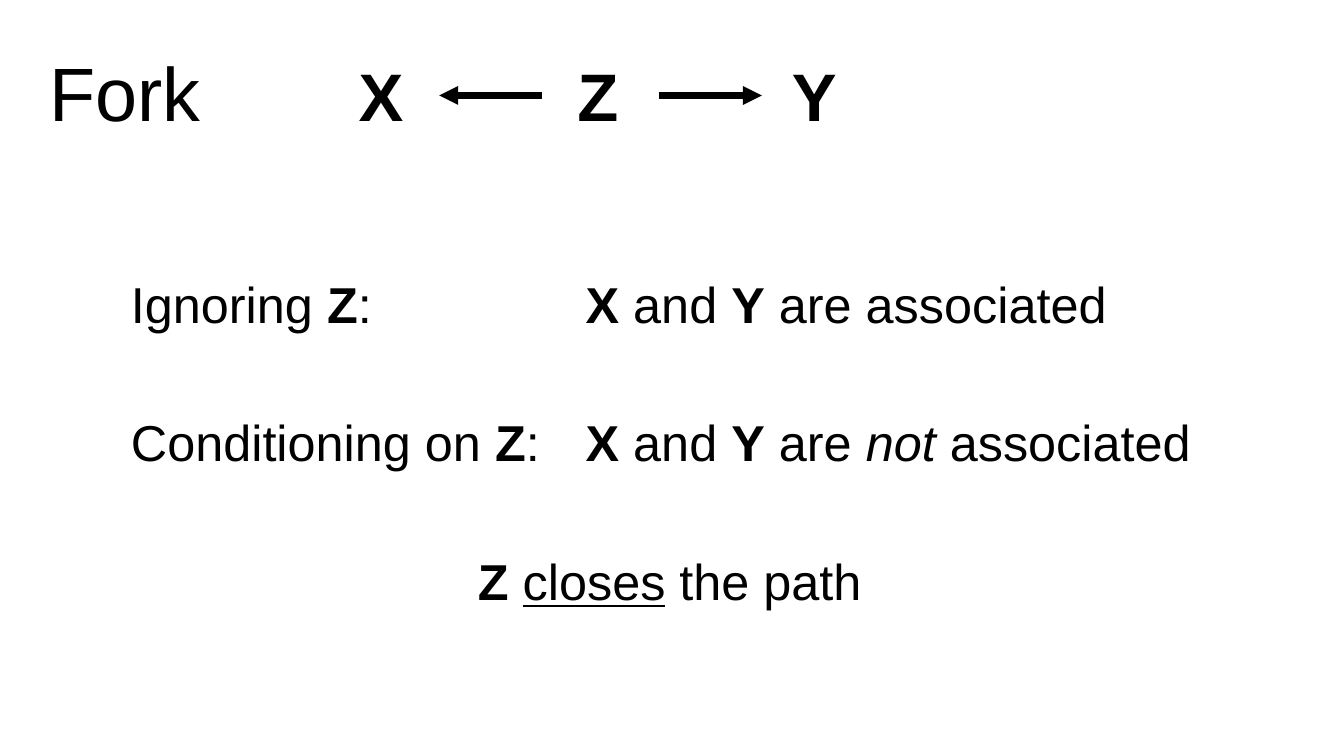
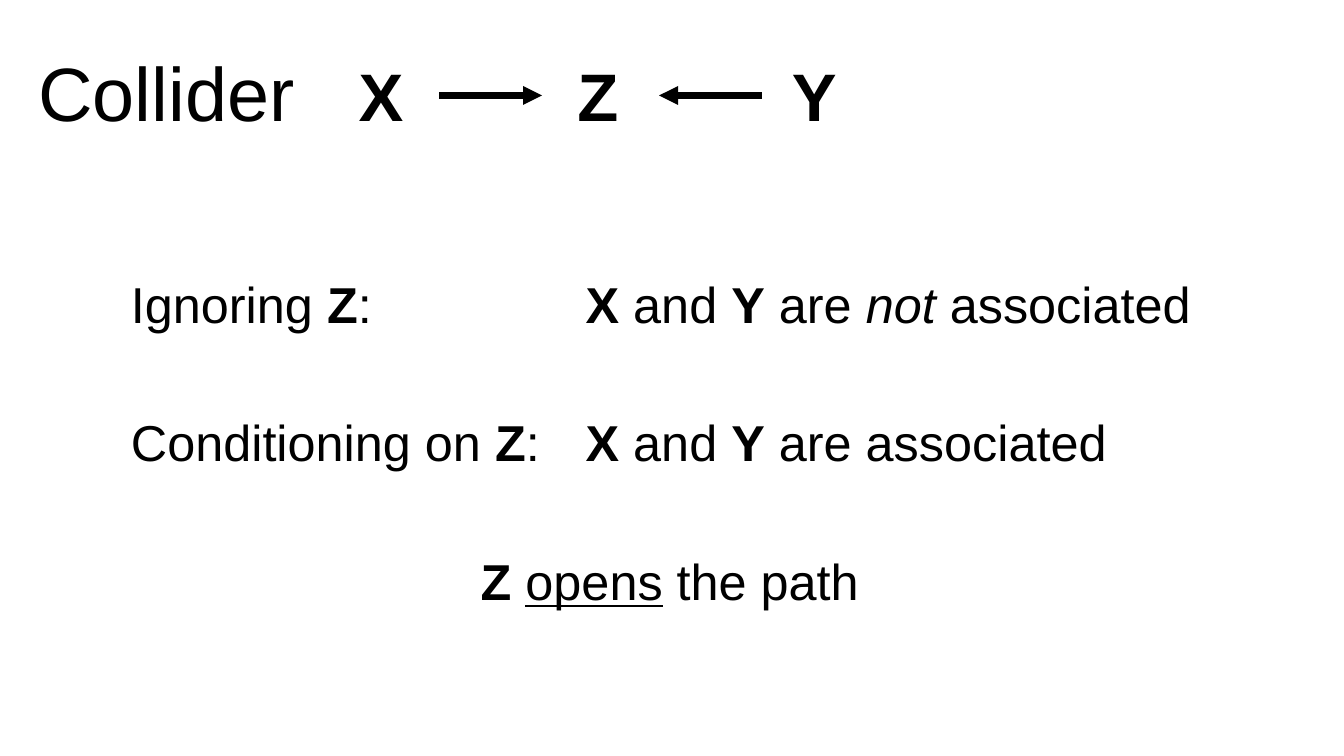
from lxml.etree import SubElement
from pptx import Presentation
from pptx.dml.color import RGBColor
from pptx.enum.shapes import MSO_CONNECTOR
from pptx.enum.text import MSO_ANCHOR, MSO_AUTO_SIZE, PP_ALIGN
from pptx.oxml.ns import qn
from pptx.util import Cm, Pt

COLORS = {"text": "000000", "background": "FFFFFF"}
FONT = "Arial"
TITLE_ONLY = 5
ASSOCIATED = [("X", "bold"), (" and ", None), ("Y", "bold"), (" are associated", None)]
NOT_ASSOCIATED = ASSOCIATED[:3] + [(" are ", None), ("not", "italic"), (" associated", None)]


def color(name):
    return RGBColor.from_string(COLORS[name])


def style_font(paragraph, size, bold=False):
    font = paragraph.font
    font.name = FONT
    font.size = Pt(size)
    font.bold = bold
    font.color.rgb = color("text")


def add_runs(paragraph, pieces):
    for text, emphasis in pieces:
        run = paragraph.add_run()
        run.text = text
        if emphasis:
            setattr(run.font, emphasis, True)


def add_title(slide, text, left, top, width, height):
    title = slide.shapes.title
    title.left, title.top, title.width, title.height = Cm(left), Cm(top), Cm(width), Cm(height)
    frame = title.text_frame
    frame.text = text
    frame.word_wrap = False
    frame.auto_size = MSO_AUTO_SIZE.NONE
    frame.vertical_anchor = MSO_ANCHOR.MIDDLE
    paragraph = frame.paragraphs[0]
    paragraph.alignment = PP_ALIGN.LEFT
    style_font(paragraph, 54)


def add_node(slide, letter, left, top, width, height):
    box = slide.shapes.add_textbox(Cm(left), Cm(top), Cm(width), Cm(height))
    frame = box.text_frame
    frame.word_wrap = False
    frame.auto_size = MSO_AUTO_SIZE.SHAPE_TO_FIT_TEXT
    paragraph = frame.paragraphs[0]
    paragraph.text = letter
    style_font(paragraph, 48, bold=True)


def add_arrow(slide, start, end, y):
    arrow = slide.shapes.add_connector(
        MSO_CONNECTOR.STRAIGHT, Cm(start), Cm(y), Cm(end), Cm(y))
    arrow.line.color.rgb = color("text")
    arrow.line.width = Pt(4.5)
    SubElement(arrow.line._get_or_add_ln(), qn("a:tailEnd"), type="triangle")
    SubElement(arrow._element.spPr, qn("a:effectLst"))


def add_path_diagram(slide, left, top, height, outward):
    for letter, offset, width in (("X", 0, 1.65), ("Z", 5.51, 1.55), ("Y", 10.92, 1.65)):
        add_node(slide, letter, left + offset, top, width, height)
    length = 2.59
    outer_left, outer_right = left + 2.28, left + 10.41
    inner_left, inner_right = outer_left + length, outer_right - length
    for inner, outer in ((inner_left, outer_left), (inner_right, outer_right)):
        start, end = (inner, outer) if outward else (outer, inner)
        add_arrow(slide, start, end, top + height / 2)


def add_statements(slide, ignoring, conditioning, effect, left, top, width, height):
    box = slide.shapes.add_textbox(Cm(left), Cm(top), Cm(width), Cm(height))
    frame = box.text_frame
    frame.word_wrap = True
    lines = (
        [("Ignoring ", None), ("Z", "bold"), (":\t", None)] + ignoring,
        [("Conditioning on ", None), ("Z", "bold"), (":\t", None)] + conditioning,
        [("Z ", "bold"), (effect, "underline"), (" the path", None)],
    )
    hanging = Cm(11.46)
    for index, pieces in enumerate(lines):
        paragraph = frame.add_paragraph() if index else frame.paragraphs[0]
        paragraph.line_spacing = 0.9
        paragraph.space_before = Pt(60 if index else 0)
        if index < 2:
            properties = paragraph._p.get_or_add_pPr()
            properties.set("marL", str(hanging))
            properties.set("indent", str(-hanging))
        else:
            paragraph.alignment = PP_ALIGN.CENTER
        style_font(paragraph, 36)
        add_runs(paragraph, pieces)


def add_path_slide(presentation, name, title_left, title_width, outward,
                   ignoring, conditioning, effect):
    slide = presentation.slides.add_slide(presentation.slide_layouts[TITLE_ONLY])
    add_title(slide, name, title_left, 1.02, title_width, 2.57)
    add_path_diagram(slide, 8.79, 1.25, 2.31, outward)
    add_statements(slide, ignoring, conditioning, effect, 3.05, 6.93, 27.66, 10.59)


def main():
    presentation = Presentation()
    presentation.slide_width = Cm(33.87)
    presentation.slide_height = Cm(19.05)
    background = presentation.slide_master.background.fill
    background.solid()
    background.fore_color.rgb = color("background")
    add_path_slide(presentation, "Fork", 0.99, 4.37, True,
                   ASSOCIATED, NOT_ASSOCIATED, "closes")
    add_path_slide(presentation, "Collider", 0.71, 7.04, False,
                   NOT_ASSOCIATED, ASSOCIATED, "opens")
    presentation.save("out.pptx")


if __name__ == "__main__":
    main()
